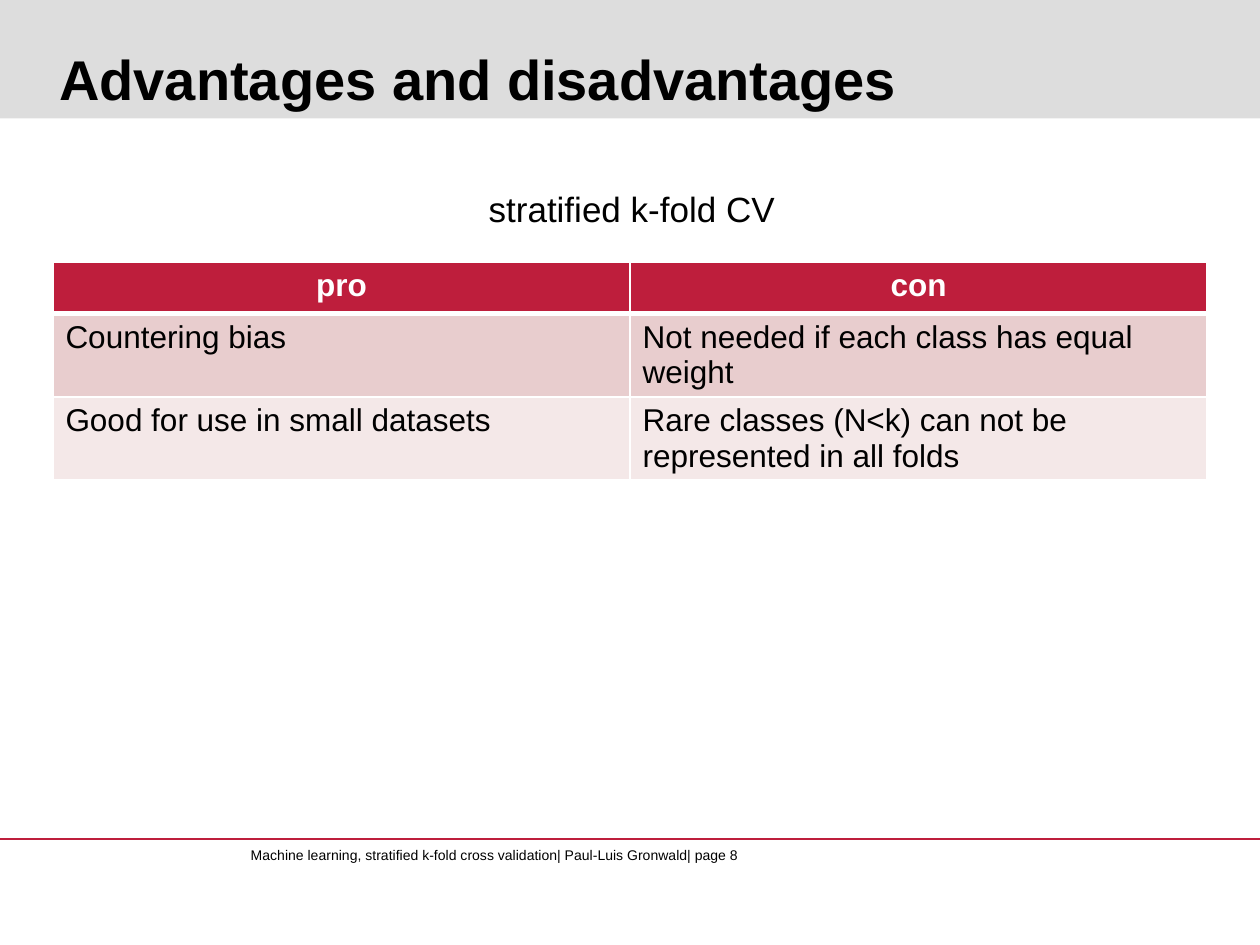
from lxml import etree
from pptx import Presentation
from pptx.dml.color import RGBColor
from pptx.enum.shapes import MSO_CONNECTOR, MSO_SHAPE
from pptx.enum.text import MSO_ANCHOR, MSO_AUTO_SIZE, PP_ALIGN
from pptx.oxml.ns import qn
from pptx.util import Inches, Pt

RECTANGLE = MSO_SHAPE.RECTANGLE
STRAIGHT = MSO_CONNECTOR.STRAIGHT
BOTTOM = MSO_ANCHOR.BOTTOM
NO_AUTO_SIZE = MSO_AUTO_SIZE.NONE
GROW = MSO_AUTO_SIZE.SHAPE_TO_FIT_TEXT
LEFT, CENTER = PP_ALIGN.LEFT, PP_ALIGN.CENTER

BLACK = RGBColor(0x00, 0x00, 0x00)
WHITE = RGBColor(0xFF, 0xFF, 0xFF)
GREY = RGBColor(0xDD, 0xDD, 0xDD)
RED = RGBColor(0xBE, 0x1E, 0x3C)
DARK_PINK = RGBColor(0xE8, 0xCD, 0xCE)
LIGHT_PINK = RGBColor(0xF4, 0xE8, 0xE8)

ROWS = [
    ("pro", "con"),
    ("Countering bias", "Not needed if each class has equal weight"),
    ("Good for use in small datasets",
     "Rare classes (N<k) can not be represented in all folds"),
]
ROW_FILLS = [RED, DARK_PINK, LIGHT_PINK]
NO_MARGINS = {"margin_left": 0, "margin_top": 0, "margin_right": 0, "margin_bottom": 0}


def set_attributes(target, values):
    for name, value in values.items():
        setattr(target, name, value)


def write_text(text_frame, text, size, color=BLACK, bold=False, alignment=LEFT):
    paragraph = text_frame.paragraphs[0]
    paragraph.alignment = alignment
    run = paragraph.add_run()
    run.text = text
    set_attributes(run.font, {"name": "Arial", "size": Pt(size), "bold": bold})
    run.font.color.rgb = color


def add_header_bar(slide):
    bar = slide.shapes.add_shape(RECTANGLE, 0, 0, Inches(10), Inches(0.94))
    bar.shadow.inherit = False
    bar.fill.solid()
    bar.fill.fore_color.rgb = GREY
    bar.line.fill.background()


def add_footer_line(slide):
    line = slide.shapes.add_connector(STRAIGHT, 0, Inches(6.66), Inches(10), Inches(6.66))
    line.line.color.rgb = RED
    line.line.width = Pt(0.75)
    etree.SubElement(line.element.spPr, qn("a:effectLst"))


def add_label(slide, text, left, top, width, height, size, frame_format):
    box = slide.shapes.add_textbox(Inches(left), Inches(top), Inches(width), Inches(height))
    set_attributes(box.text_frame, {"word_wrap": False, "auto_size": GROW, **frame_format})
    write_text(box.text_frame, text, size)


def place_title(slide, text):
    title = slide.shapes.title
    set_attributes(title, {"left": Inches(0.47), "top": Inches(0.12),
                           "width": Inches(9.16), "height": Inches(0.77)})
    set_attributes(title.text_frame, {"vertical_anchor": BOTTOM, "word_wrap": True,
                                      "auto_size": NO_AUTO_SIZE, **NO_MARGINS})
    write_text(title.text_frame, text, 32, bold=True)
    title.element.getparent().append(title.element)


def set_borders(cell, widths):
    properties = cell._tc.get_or_add_tcPr()
    for side, width in widths.items():
        border = etree.SubElement(properties, qn(f"a:ln{side}"), w=str(Pt(width)))
        fill = etree.SubElement(border, qn("a:solidFill"))
        etree.SubElement(fill, qn("a:srgbClr"), val=str(WHITE))


def add_comparison_table(slide):
    frame = slide.shapes.add_table(len(ROWS), len(ROWS[0]), Inches(0.42), Inches(2.08),
                                   Inches(9.16), Inches(0.41 * len(ROWS)))
    table = frame.table
    for row_index, (texts, fill) in enumerate(zip(ROWS, ROW_FILLS)):
        header = row_index == 0
        text_format = {"color": WHITE if header else BLACK, "bold": header,
                       "alignment": CENTER if header else LEFT}
        borders = {"L": 1, "R": 1, "T": 3 if row_index == 1 else 1, "B": 3 if header else 1}
        for column_index, text in enumerate(texts):
            cell = table.cell(row_index, column_index)
            set_borders(cell, borders)
            cell.fill.solid()
            cell.fill.fore_color.rgb = fill
            write_text(cell.text_frame, text, 18, **text_format)


def main():
    presentation = Presentation()
    set_attributes(presentation, {"slide_width": Inches(10), "slide_height": Inches(7.5)})
    slide = presentation.slides.add_slide(presentation.slide_layouts[5])
    add_header_bar(slide)
    add_footer_line(slide)
    add_label(slide, "Machine learning, stratified k-fold cross validation"
              "| Paul-Luis Gronwald| page 8", 1.99, 6.72, 4.06, 0.27, 8, NO_MARGINS)
    place_title(slide, "Advantages and disadvantages")
    add_comparison_table(slide)
    add_label(slide, "stratified k-fold CV", 3.78, 1.44, 2.49, 0.44, 20, {})
    presentation.save("out.pptx")


if __name__ == "__main__":
    main()
